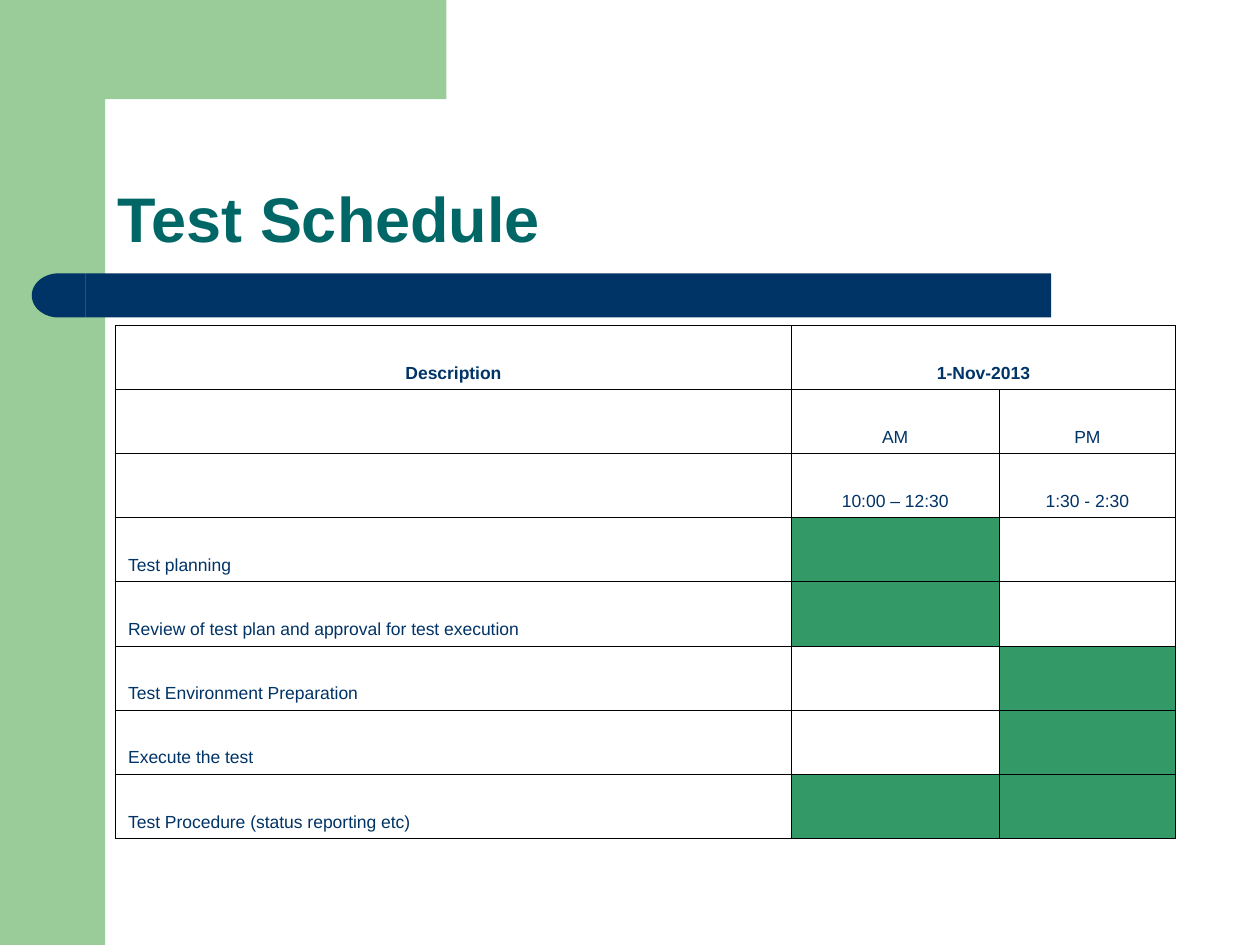
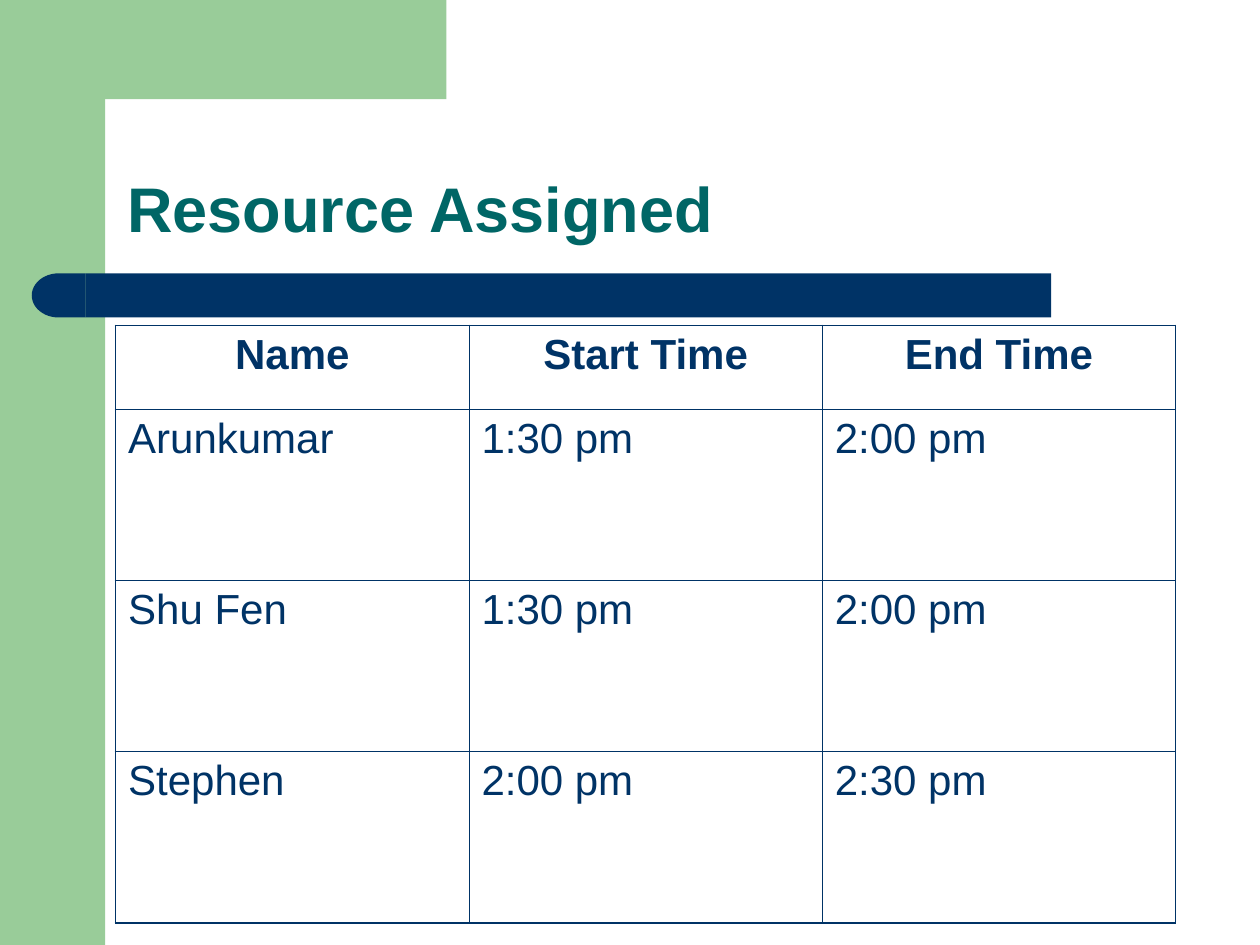
from math import cos, pi, sin

from lxml.etree import SubElement
from pptx import Presentation
from pptx.dml.color import RGBColor
from pptx.enum.shapes import MSO_SHAPE
from pptx.enum.text import MSO_ANCHOR, MSO_AUTO_SIZE, PP_ALIGN
from pptx.oxml.ns import qn
from pptx.util import Cm, Pt

# Shared look
FONT = "Arial"
PALE_GREEN, GREEN, TEAL = "99CC99", "339966", "006666"
NAVY, BLACK = "003366", "000000"
SIDE_WIDTH = 2.12
THIN, THICK = 0.45, 1.08

# Boxes: left, top, width, height in centimetres
SCHEDULE_TITLE = (2.12, 2.12, 22, 3.18)
RESOURCE_TITLE = (2.31, 2.31, 21.6, 2.77)
BAR_BOX = (0.64, 5.51, 20.55, 0.89)
SCHEDULE_BOX = (2.33, 6.56, 21.37, 10.34)
RESOURCE_BOX = (2.33, 6.56, 21.37, 12.04)

# Test activities with the half-days they take up
ACTIVITIES = [
    ("Test planning", "AM"),
    ("Review of test plan and approval for test execution", "AM"),
    ("Test Environment Preparation", "PM"),
    ("Execute the test", "PM"),
    ("Test Procedure (status reporting etc)", "AM PM"),
]
RESOURCES = [
    ("Name", "Start Time", "End Time"),
    ("Arunkumar", "1:30 pm", "2:00 pm"),
    ("Shu Fen", "1:30 pm", "2:00 pm"),
    ("Stephen", "2:00 pm", "2:30 pm"),
]


def rgb(code):
    return RGBColor.from_string(code)


def paint(shape, color):
    shape.fill.solid()
    shape.fill.fore_color.rgb = rgb(color)
    shape.line.fill.background()
    shape.shadow.inherit = False


def add_block(slide, kind, box, color):
    block = slide.shapes.add_shape(kind, *map(Cm, box))
    paint(block, color)
    return block


def style_text(frame, size, color, bold, align):
    paragraph = frame.paragraphs[0]
    paragraph.alignment = align
    for run in paragraph.runs:
        run.font.name = FONT
        run.font.size = Pt(size)
        run.font.bold = bold
        run.font.color.rgb = rgb(color)


# Green side band and its rounded corner
def add_side_band(slide, height):
    add_block(slide, MSO_SHAPE.RECTANGLE, (0, 0, SIDE_WIDTH, height), PALE_GREEN)
    inner, reach, radius, steps = 1.27, 8.89, 0.84, 16
    center = SIDE_WIDTH + radius
    arc = [
        (center - radius * sin(angle), center - radius * cos(angle))
        for angle in (pi / 2 * step / steps for step in range(steps + 1))
    ]
    end = center + 0.29
    outline = [(reach, SIDE_WIDTH), *arc, (SIDE_WIDTH, end), (inner, end), (inner, 0)]
    corner = slide.shapes.build_freeform(reach, 0, scale=Cm(1))
    corner.add_line_segments(outline, close=True)
    paint(corner.convert_to_shape(), PALE_GREEN)


# Navy bar under the title, rounded on the left
def add_title_bar(slide, box):
    left, top, width, height = box
    cap = 1.08
    add_block(slide, MSO_SHAPE.RECTANGLE, (left + cap, top, width - cap, height), NAVY)
    rounded_end = add_block(
        slide, MSO_SHAPE.FLOWCHART_DELAY, (left, top, cap, height), NAVY
    )
    rounded_end.rotation = 180


def set_title(slide, text, box):
    title = slide.shapes.title
    title.left, title.top, title.width, title.height = map(Cm, box)
    frame = title.text_frame
    frame.text = text
    frame.word_wrap = True
    frame.auto_size = MSO_AUTO_SIZE.NONE
    frame.vertical_anchor = MSO_ANCHOR.BOTTOM
    frame.paragraphs[0].line_spacing = 0.9
    style_text(frame, 36, TEAL, True, PP_ALIGN.LEFT)


def add_titled_slide(deck, title, title_box):
    slide = deck.slides.add_slide(deck.slide_layouts[5])
    add_side_band(slide, deck.slide_height.cm)
    add_title_bar(slide, BAR_BOX)
    set_title(slide, title, title_box)
    return slide


def set_borders(cell, color, widths):
    properties = cell._tc.get_or_add_tcPr()
    for position, (side, width) in enumerate(zip("LRTB", widths)):
        edge = SubElement(properties, qn(f"a:ln{side}"), w=str(Pt(width)))
        fill = SubElement(edge, qn("a:solidFill"))
        SubElement(fill, qn("a:srgbClr"), val=color)
        properties.insert(position, edge)


def add_grid(slide, box, column_widths, row_heights, line_color, outer_width):
    rows, columns = len(row_heights), len(column_widths)
    grid = slide.shapes.add_table(rows, columns, *map(Cm, box)).table
    grid.first_row = grid.horz_banding = False
    for column, width in zip(grid.columns, column_widths):
        column.width = Cm(width)
    for row, height in zip(grid.rows, row_heights):
        row.height = Cm(height)
    for r in range(rows):
        for c in range(columns):
            on_edge = (c == 0, c == columns - 1, r == 0, r == rows - 1)
            widths = [outer_width if edge else THIN for edge in on_edge]
            grid.cell(r, c).fill.background()
            set_borders(grid.cell(r, c), line_color, widths)
    return grid


def write_cell(cell, text, size, bold, align, anchor):
    cell.text = text
    cell.vertical_anchor = anchor
    style_text(cell.text_frame, size, NAVY, bold, align)


# Schedule: activities against half-days
def add_schedule(slide, box):
    headings = [
        ("Description", "1-Nov-2013", ""),
        ("", "AM", "PM"),
        ("", "10:00 – 12:30", "1:30 - 2:30"),
    ]
    row_count = len(headings) + len(ACTIVITIES)
    grid = add_grid(
        slide, box, (13.62, 4.19, 3.56), [box[3] / row_count] * row_count, BLACK, THIN
    )
    grid.cell(0, 1).merge(grid.cell(0, 2))
    for r, heading in enumerate(headings):
        for c, text in enumerate(heading):
            if text:
                write_cell(
                    grid.cell(r, c), text, 10, r == 0, PP_ALIGN.CENTER, MSO_ANCHOR.BOTTOM
                )
    for r, (activity, half_days) in enumerate(ACTIVITIES, len(headings)):
        write_cell(
            grid.cell(r, 0), activity, 10, False, PP_ALIGN.LEFT, MSO_ANCHOR.BOTTOM
        )
        for c, half_day in enumerate(("AM", "PM"), 1):
            if half_day in half_days:
                slot = grid.cell(r, c)
                slot.fill.solid()
                slot.fill.fore_color.rgb = rgb(GREEN)


# Resources: people with start and end times
def add_resources(slide, box):
    heading_height, people = 1.69, len(RESOURCES) - 1
    person_height = (box[3] - heading_height) / people
    grid = add_grid(
        slide,
        box,
        [box[2] / 3] * 3,
        [heading_height] + [person_height] * people,
        NAVY,
        THICK,
    )
    for r, entry in enumerate(RESOURCES):
        align = PP_ALIGN.LEFT if r else PP_ALIGN.CENTER
        for c, text in enumerate(entry):
            write_cell(grid.cell(r, c), text, 24, r == 0, align, MSO_ANCHOR.TOP)


def main():
    deck = Presentation()
    deck.slide_width, deck.slide_height = Cm(25.4), Cm(19.05)
    schedule = add_titled_slide(deck, "Test Schedule", SCHEDULE_TITLE)
    add_schedule(schedule, SCHEDULE_BOX)
    resources = add_titled_slide(deck, "Resource Assigned", RESOURCE_TITLE)
    add_resources(resources, RESOURCE_BOX)
    deck.save("out.pptx")


if __name__ == "__main__":
    main()
